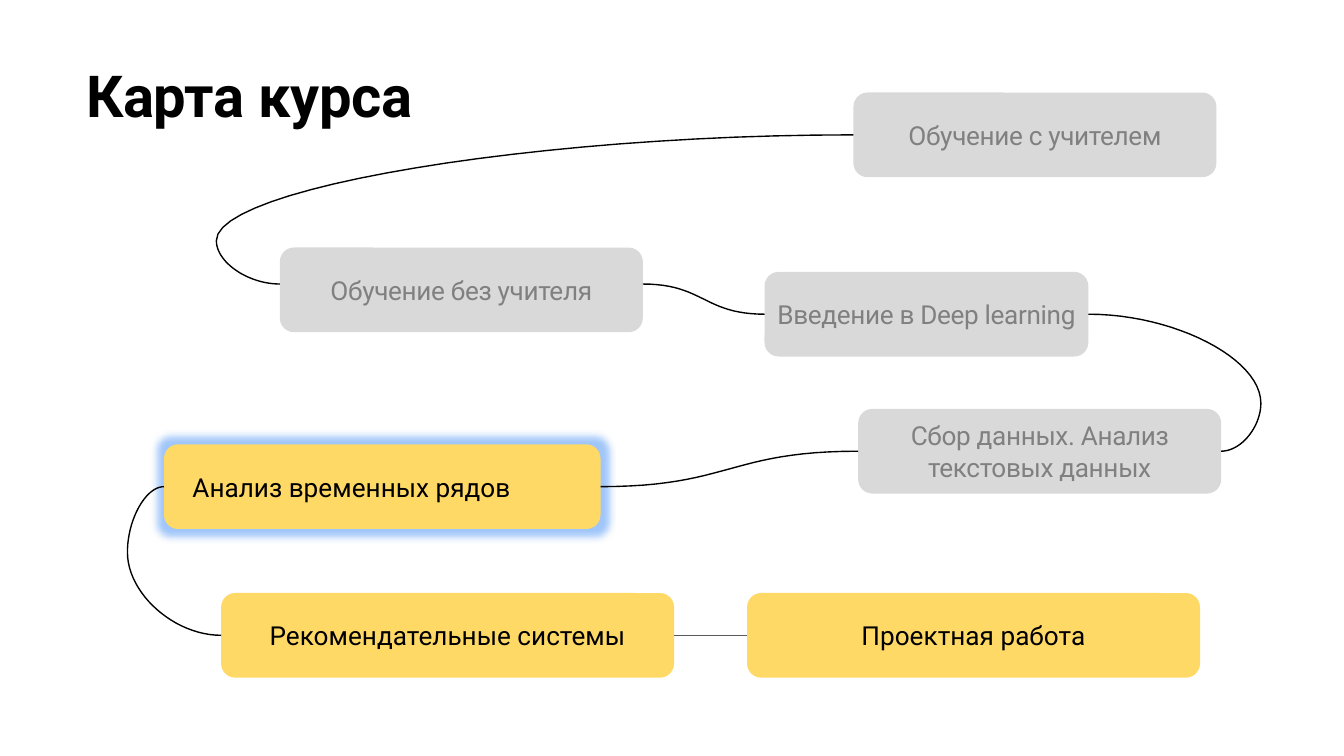
from dataclasses import dataclass

from lxml.etree import SubElement
from pptx import Presentation
from pptx.dml.color import RGBColor
from pptx.enum.shapes import MSO_CONNECTOR, MSO_SHAPE
from pptx.enum.text import MSO_ANCHOR, MSO_AUTO_SIZE, PP_ALIGN
from pptx.oxml.ns import qn
from pptx.util import Cm, Pt


@dataclass(frozen=True)
class Theme:
    font: str = "Roboto"
    title_size: int = 31
    label_size: int = 14
    line_width: float = 0.75
    text: str = "000000"
    passed_text: str = "808080"
    passed_fill: str = "D9D9D9"
    ahead_fill: str = "FFD966"
    straight_line: str = "595959"
    glow: str = "A0C6FA"


@dataclass(frozen=True)
class Box:
    left: float
    top: float
    width: float
    height: float

    def inner(self, left, top, width, height):
        return Box(self.left + left, self.top + top, width, height)

    def lengths(self):
        return [Cm(value) for value in (self.left, self.top, self.width, self.height)]

    def left_side(self, lift=0):
        return self.left, self.top + self.height / 2 - lift

    def right_side(self, lift=0):
        return self.left + self.width, self.top + self.height / 2 - lift


THEME = Theme()
STAGE_HEIGHT = 1.6
STAGES = {
    "supervised": ("Обучение с учителем", 13.72, 0, 6.86, True),
    "unsupervised": ("Обучение без учителя", 2.88, 2.93, 6.86, True),
    "deep": ("Введение в Deep learning", 12.04, 3.39, 6.12, True),
    "texts": ("Сбор данных. Анализ текстовых данных", 13.81, 5.98, 6.86, True),
    "series": ("Анализ временных рядов", 0.69, 6.65, 8.25, False),
    "recommend": ("Рекомендательные системы", 1.77, 9.46, 8.56, False),
    "project": ("Проектная работа", 11.71, 9.46, 8.56, False),
}


def format_paragraph(paragraph, size, color, spacing, bold=False):
    paragraph.font.name = THEME.font
    paragraph.font.size = Pt(size)
    paragraph.font.bold = bold
    paragraph.font.color.rgb = RGBColor.from_string(color)
    paragraph._p.get_or_add_pPr().get_or_add_defRPr().set("spc", str(spacing))


def set_margins(frame, horizontal, vertical):
    frame.margin_left = frame.margin_right = Cm(horizontal)
    frame.margin_top = frame.margin_bottom = Cm(vertical)


def draw_title(slide, box):
    title = slide.shapes.title
    title.left, title.top, title.width, title.height = box.lengths()
    frame = title.text_frame
    frame.text = "Карта курса"
    frame.auto_size = MSO_AUTO_SIZE.NONE
    frame.vertical_anchor = MSO_ANCHOR.TOP
    set_margins(frame, 0.03, 0.05)
    paragraph = frame.paragraphs[0]
    paragraph.alignment = PP_ALIGN.LEFT
    paragraph.space_before = Pt(0)
    paragraph.line_spacing = 1.0
    format_paragraph(paragraph, THEME.title_size, THEME.text, -20, bold=True)


def draw_stage(slide, box, label, passed):
    shape = slide.shapes.add_shape(MSO_SHAPE.ROUNDED_RECTANGLE, *box.lengths())
    shape.shadow.inherit = False
    shape.fill.solid()
    shape.fill.fore_color.rgb = RGBColor.from_string(
        THEME.passed_fill if passed else THEME.ahead_fill
    )
    shape.line.fill.background()
    frame = shape.text_frame
    frame.word_wrap = True
    frame.vertical_anchor = MSO_ANCHOR.MIDDLE
    set_margins(frame, 0, 0)
    frame.text = label
    paragraph = frame.paragraphs[0]
    paragraph.alignment = PP_ALIGN.CENTER
    color, spacing = (THEME.passed_text, -20) if passed else (THEME.text, 0)
    format_paragraph(paragraph, THEME.label_size, color, spacing)
    return shape


def highlight(shape):
    set_margins(shape.text_frame, 0.46, 0.25)
    shape.text_frame.paragraphs[0].alignment = PP_ALIGN.LEFT
    effects = shape._element.spPr.find(qn("a:effectLst"))
    glow = SubElement(effects, qn("a:glow"), rad=str(Cm(0.28)))
    SubElement(glow, qn("a:srgbClr"), val=THEME.glow)


def bezier(start, first, second, end, steps=24):
    def point(t):
        weights = ((1 - t) ** 3, 3 * t * (1 - t) ** 2, 3 * t**2 * (1 - t), t**3)
        return tuple(
            sum(weight * value for weight, value in zip(weights, values))
            for values in zip(start, first, second, end)
        )

    return [point(step / steps) for step in range(steps + 1)]


def wave(start, end):
    middle = (start[0] + end[0]) / 2
    return bezier(start, (middle, start[1]), (middle, end[1]), end)


def quarter(start, turn):
    first = ((start[0] + turn[0]) / 2, start[1])
    second = (turn[0], (start[1] + turn[1]) / 2)
    return bezier(start, first, second, turn)


def loop(start, turn, end):
    return quarter(start, turn) + quarter(end, turn)[-2::-1]


def draw_curve(slide, points):
    start, *others = [(Cm(x), Cm(y)) for x, y in points]
    builder = slide.shapes.build_freeform(*start)
    builder.add_line_segments(others, close=False)
    curve = builder.convert_to_shape()
    curve.shadow.inherit = False
    curve.fill.background()
    curve.line.color.rgb = RGBColor.from_string(THEME.text)
    curve.line.width = Pt(THEME.line_width)


def join_stages(slide, first, second):
    connector = slide.shapes.add_connector(MSO_CONNECTOR.STRAIGHT, 0, 0, 0, 0)
    connector.begin_connect(first, 3)
    connector.end_connect(second, 1)
    connector.line.color.rgb = RGBColor.from_string(THEME.straight_line)
    connector.line.width = Pt(THEME.line_width)
    SubElement(connector._element.spPr, qn("a:effectLst"))


def draw_course_map(slide, box):
    boxes, shapes = {}, {}
    for name, (label, left, top, width, passed) in STAGES.items():
        boxes[name] = box.inner(left, top, width, STAGE_HEIGHT)
        shapes[name] = draw_stage(slide, boxes[name], label, passed)
    highlight(shapes["series"])

    def turn(x, y):
        return box.left + x, box.top + y

    lift = 0.11
    supervised, unsupervised = boxes["supervised"], boxes["unsupervised"]
    deep, texts = boxes["deep"], boxes["texts"]
    series, recommend = boxes["series"], boxes["recommend"]
    for points in (
        loop(supervised.left_side(), turn(1.68, 2.8), unsupervised.left_side(lift)),
        wave(unsupervised.right_side(lift), deep.left_side()),
        loop(deep.right_side(), turn(box.width, 5.87), texts.right_side()),
        wave(texts.left_side(), series.right_side()),
        loop(series.left_side(), turn(0, 8.69), recommend.left_side()),
    ):
        draw_curve(slide, points)
    join_stages(slide, shapes["recommend"], shapes["project"])


def main():
    presentation = Presentation()
    presentation.slide_width, presentation.slide_height = Cm(25.4), Cm(14.29)
    slide = presentation.slides.add_slide(presentation.slide_layouts[5])
    draw_title(slide, Box(1.6, 1.07, 17.3, 1.37))
    draw_course_map(slide, Box(2.41, 1.75, 21.42, 11.06))
    presentation.save("out.pptx")


if __name__ == "__main__":
    main()
